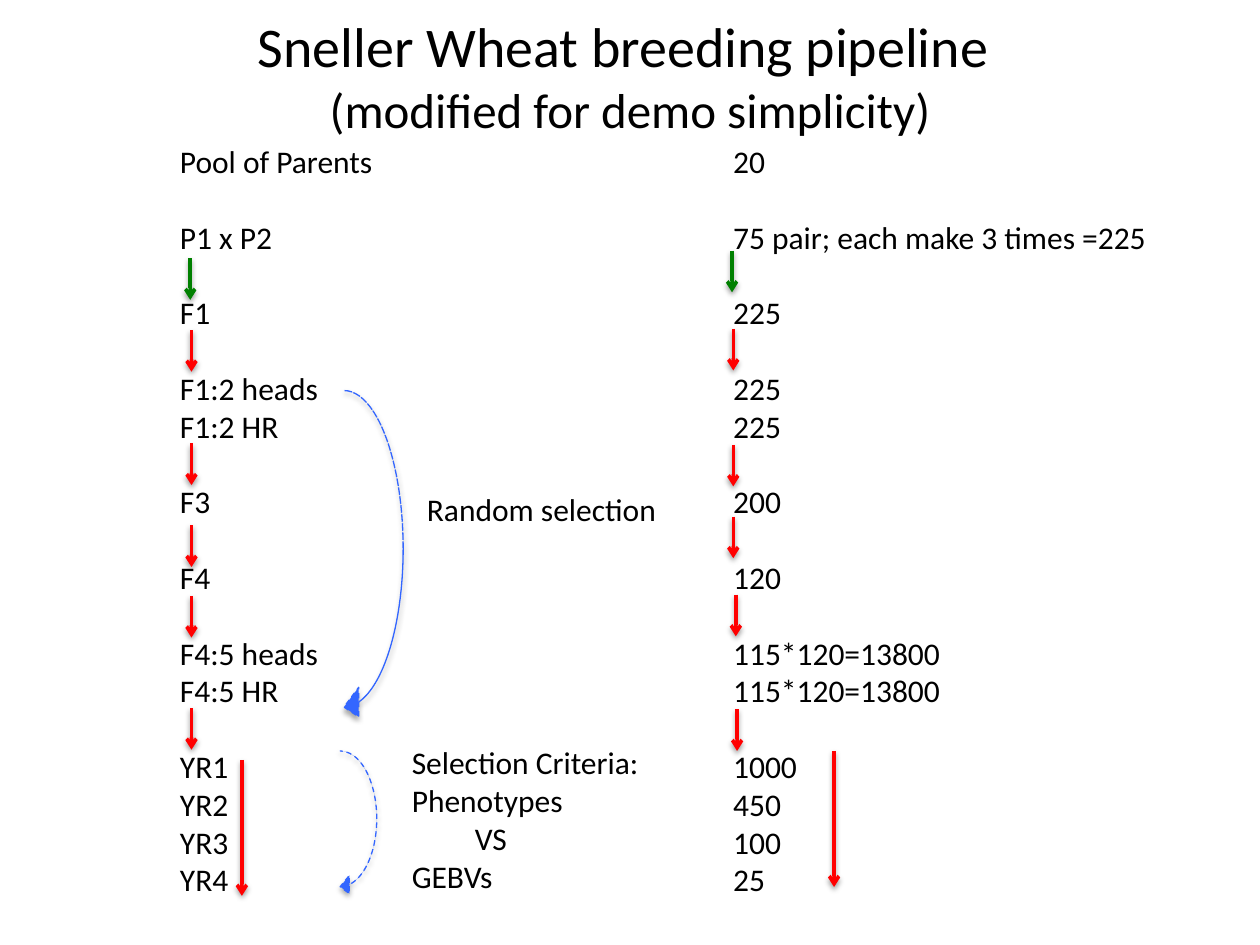
from lxml import etree
from pptx import Presentation, util as u
from pptx.dml.color import RGBColor
from pptx.enum import dml, shapes, text
from pptx.oxml import ns

prs = Presentation()
prs.slide_width, prs.slide_height = u.Inches(10), u.Inches(7.5)
COL, ROW = prs.slide_width / 100, prs.slide_height / 75
s = prs.slides.add_slide(prs.slide_layouts[6])


def rgb(value):
    return RGBColor.from_string(value)


def add_shadow(sp, alpha, dist):
    effects = etree.SubElement(sp._element.spPr, ns.qn("a:effectLst"))
    outer = etree.SubElement(effects, ns.qn("a:outerShdw"), blurRad=str(u.Pt(3.1)),
                             dist=str(u.Pt(dist)), dir="5400000", rotWithShape="0")
    color = etree.SubElement(outer, ns.qn("a:srgbClr"), val="000000")
    etree.SubElement(color, ns.qn("a:alpha"), val=str(alpha * 1000))


stages = [["Pool of Parents"], ["P1 x P2"], ["F1"], ["F1:2 heads", "F1:2 HR"], ["F3"], ["F4"],
          ["F4:5 heads", "F4:5 HR"], ["YR1", "YR2", "YR3", "YR4"]]
counts = [["20"], ["75 pair; each make 3 times =225"], ["225"], ["225", "225"], ["200"], ["120"],
          ["115*120=13800", "115*120=13800"], ["1000", "450", "100", "25"]]
criteria = [["Selection Criteria:", "Phenotypes", "VS", "GEBVs"]]
title = [["Sneller Wheat breeding pipeline ", "(modified for demo simplicity)"]]

boxes = [(5, -0.3, 90, 12.5, title), (13.3, 10.8, 22, 61.6, stages),
         (57.2, 10.8, 39.8, 61.6, counts), (31.7, 58.5, 20.7, 13.1, criteria),
         (32.9, 38.4, 20.7, 4, [["Random selection"]])]
for x, y, w, h, blocks in boxes:
    tf = s.shapes.add_textbox(int(x * COL), int(y * ROW), int(w * COL), int(h * ROW)).text_frame
    tf.word_wrap = True
    is_title = blocks is title
    if is_title:
        tf.vertical_anchor = text.MSO_ANCHOR.MIDDLE
    p = tf.paragraphs[0]
    for b, block in enumerate(blocks):
        for i, line in enumerate(block):
            if is_title:
                p.alignment = text.PP_ALIGN.CENTER
                if i:
                    p.add_line_break()
            elif b or i:
                p = tf.add_paragraph()
                if i == 0:
                    p.space_before = u.Pt(21.6)
            if line == "VS":
                p._p.get_or_add_pPr().set("marL", str(int(5 * COL)))
            r = p.add_run()
            r.text = line
            size = (32, 28)[i] if is_title else 18
            for name, value in {"name": "Calibri", "size": u.Pt(size)}.items():
                setattr(r.font, name, value)
            r.font.color.rgb = rgb("000000")

SHORT, LONG = 3.3, 10.8
arrows = [(15.1, 20.5, SHORT, "008000"), (58.1, 19.9, SHORT, "008000"),
          (19.2, 60.3, LONG, "FF0000"), (66.2, 59.6, LONG, "FF0000")]
arrows += [(15.2, y, SHORT, "FF0000") for y in (26.2, 35.2, 41.7, 47.3, 56.2)]
arrows += [(x, y, SHORT, "FF0000") for x, y in
           ((58.2, 26.1), (58.2, 35.3), (58.2, 41), (58.4, 47.2), (58.5, 56.3))]
for x, y, length, color in arrows:
    sp = s.shapes.add_connector(shapes.MSO_CONNECTOR.STRAIGHT, int(x * COL), int(y * ROW),
                                int(x * COL), int((y + length) * ROW))
    sp.line.color.rgb = rgb(color)
    sp.line.width = u.Pt(2)
    etree.SubElement(sp.line._get_or_add_ln(), ns.qn("a:tailEnd"), type="arrow")
    add_shadow(sp, 38, 1.6)

for x, y, w, h in ((27, 59.6, 2.9, 11.5), (27.3, 31, 4.7, 26.3)):
    sp = s.shapes.add_shape(shapes.MSO_SHAPE.CURVED_LEFT_ARROW, int(x * COL), int(y * ROW),
                            int(w * COL), int(h * ROW))
    for i, value in enumerate((0, 0.5, 0.25)):
        sp.adjustments[i] = value
    sp.fill.solid()
    sp.fill.fore_color.rgb = sp.line.color.rgb = rgb("3366FF")
    for name, value in {"width": u.Pt(0.75), "dash_style": dml.MSO_LINE.DASH}.items():
        setattr(sp.line, name, value)
    add_shadow(sp, 35, 1.8)

prs.save("out.pptx")
